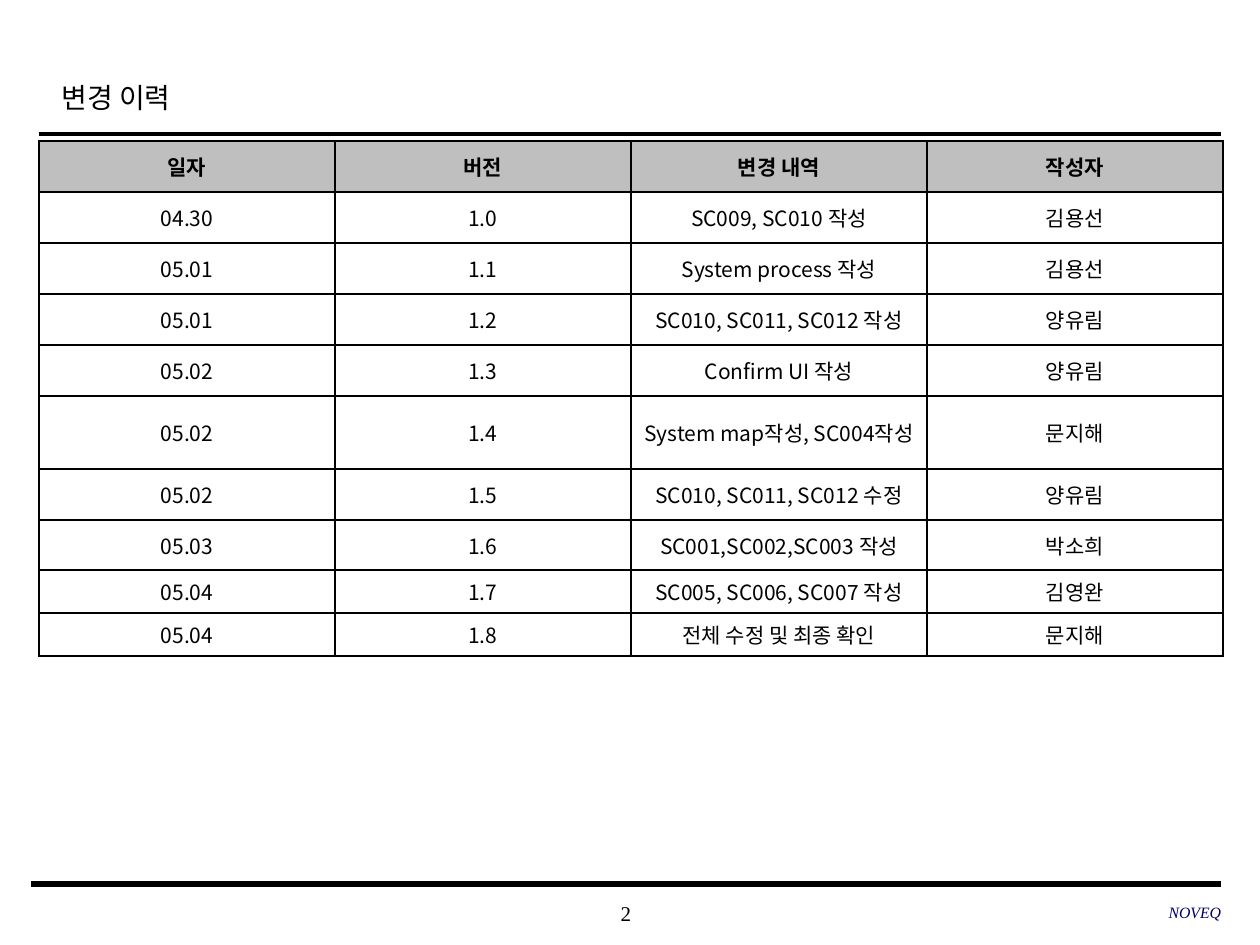
from dataclasses import dataclass

from lxml import etree
from pptx import Presentation
from pptx.dml.color import RGBColor
from pptx.enum.shapes import MSO_CONNECTOR
from pptx.enum.text import MSO_ANCHOR, PP_ALIGN
from pptx.oxml.ns import qn
from pptx.util import Emu, Pt

STRAIGHT = MSO_CONNECTOR.STRAIGHT
MIDDLE = MSO_ANCHOR.MIDDLE
LEFT, CENTER, RIGHT = PP_ALIGN.LEFT, PP_ALIGN.CENTER, PP_ALIGN.RIGHT
TITLE_ONLY = 5
EMU_PER_PX = 914400 / 126


@dataclass(frozen=True)
class Theme:
    serif: str = "Times New Roman"
    sans: str = "Noto Sans CJK KR"
    ink: str = "000000"
    team: str = "000066"
    header_fill: str = "BFBFBF"
    body_fill: str = "FFFFFF"
    title_size: int = 16
    text_size: int = 12
    team_size: int = 9


THEME = Theme()

HISTORY = [
    ("일자", "버전", "변경 내역", "작성자"),
    ("04.30", "1.0", "SC009, SC010 작성", "김용선"),
    ("05.01", "1.1", "System process 작성", "김용선"),
    ("05.01", "1.2", "SC010, SC011, SC012 작성", "양유림"),
    ("05.02", "1.3", "Confirm UI 작성", "양유림"),
    ("05.02", "1.4", "System map작성, SC004작성", "문지해"),
    ("05.02", "1.5", "SC010, SC011, SC012 수정", "양유림"),
    ("05.03", "1.6", "SC001,SC002,SC003 작성", "박소희"),
    ("05.04", "1.7", "SC005, SC006, SC007 작성", "김영완"),
    ("05.04", "1.8", "전체 수정 및 최종 확인", "문지해"),
]
ROW_HEIGHTS = [51] * 5 + [73, 51, 50, 43, 43]
COLUMN_WIDTH = 296


def px(length):
    return Emu(round(length * EMU_PER_PX))


def format_paragraph(paragraph, align, face, size, color=THEME.ink,
                     bold=False, italic=False):
    paragraph.alignment = align
    font = paragraph.font
    font.name, font.size = face, Pt(size)
    font.bold, font.italic = bold, italic
    font.color.rgb = RGBColor.from_string(color)


def add_title(slide, text):
    title = slide.shapes.title
    title.left, title.top, title.width, title.height = map(px, (49, 62, 951, 63))
    title.text_frame.text = text
    title.text_frame.vertical_anchor = MIDDLE
    paragraph = title.text_frame.paragraphs[0]
    paragraph.line_spacing = 1.2
    format_paragraph(paragraph, LEFT, THEME.serif, THEME.title_size)


def add_rule(slide, left, right, y, weight):
    rule = slide.shapes.add_connector(STRAIGHT, px(left), px(y), px(right), px(y))
    rule.line.color.rgb = RGBColor.from_string(THEME.ink)
    rule.line.width = Pt(weight)
    etree.SubElement(rule._element.spPr, qn("a:effectLst"))


def add_footer(slide, box, text, align, size, **style):
    frame = slide.shapes.add_textbox(*map(px, box)).text_frame
    frame.word_wrap = True
    frame.vertical_anchor = MIDDLE
    frame.margin_left = frame.margin_right = 0
    frame.margin_top = frame.margin_bottom = 0
    frame.text = text
    format_paragraph(frame.paragraphs[0], align, THEME.serif, size, **style)


def set_borders(cell):
    properties = cell._tc.get_or_add_tcPr()
    for index, side in enumerate(("lnL", "lnR", "lnT", "lnB")):
        border = etree.Element(qn(f"a:{side}"), w=str(Pt(1)))
        fill = etree.SubElement(border, qn("a:solidFill"))
        etree.SubElement(fill, qn("a:srgbClr"), val=THEME.ink)
        properties.insert(index, border)


def fill_cell(cell, text, is_header):
    cell.text = text
    cell.vertical_anchor = MIDDLE
    cell.fill.solid()
    fill = THEME.header_fill if is_header else THEME.body_fill
    cell.fill.fore_color.rgb = RGBColor.from_string(fill)
    format_paragraph(cell.text_frame.paragraphs[0], CENTER, THEME.sans,
                     THEME.text_size, bold=is_header)
    set_borders(cell)


def add_history_table(slide, left, top):
    columns = len(HISTORY[0])
    table = slide.shapes.add_table(
        len(HISTORY), columns, px(left), px(top),
        px(columns * COLUMN_WIDTH), px(sum(ROW_HEIGHTS))).table
    for column in table.columns:
        column.width = px(COLUMN_WIDTH)
    for index, (entry, height) in enumerate(zip(HISTORY, ROW_HEIGHTS)):
        table.rows[index].height = px(height)
        for cell, text in zip(table.rows[index].cells, entry):
            fill_cell(cell, text, is_header=index == 0)


def main():
    presentation = Presentation()
    presentation.slide_width, presentation.slide_height = px(1260), px(945)
    slide = presentation.slides.add_slide(presentation.slide_layouts[TITLE_ONLY])

    # Page frame: number and rules
    add_footer(slide, (495, 892, 262, 42), "2", CENTER, THEME.text_size)
    add_rule(slide, 39, 1221, 134, 2.5)
    add_rule(slide, 31, 1221, 884, 3)

    # Change history
    add_title(slide, "변경 이력")
    add_history_table(slide, 39, 141)

    # Team name
    add_footer(slide, (835, 891, 386, 42), "NOVEQ", RIGHT, THEME.team_size,
               color=THEME.team, italic=True)

    presentation.save("out.pptx")


if __name__ == "__main__":
    main()
